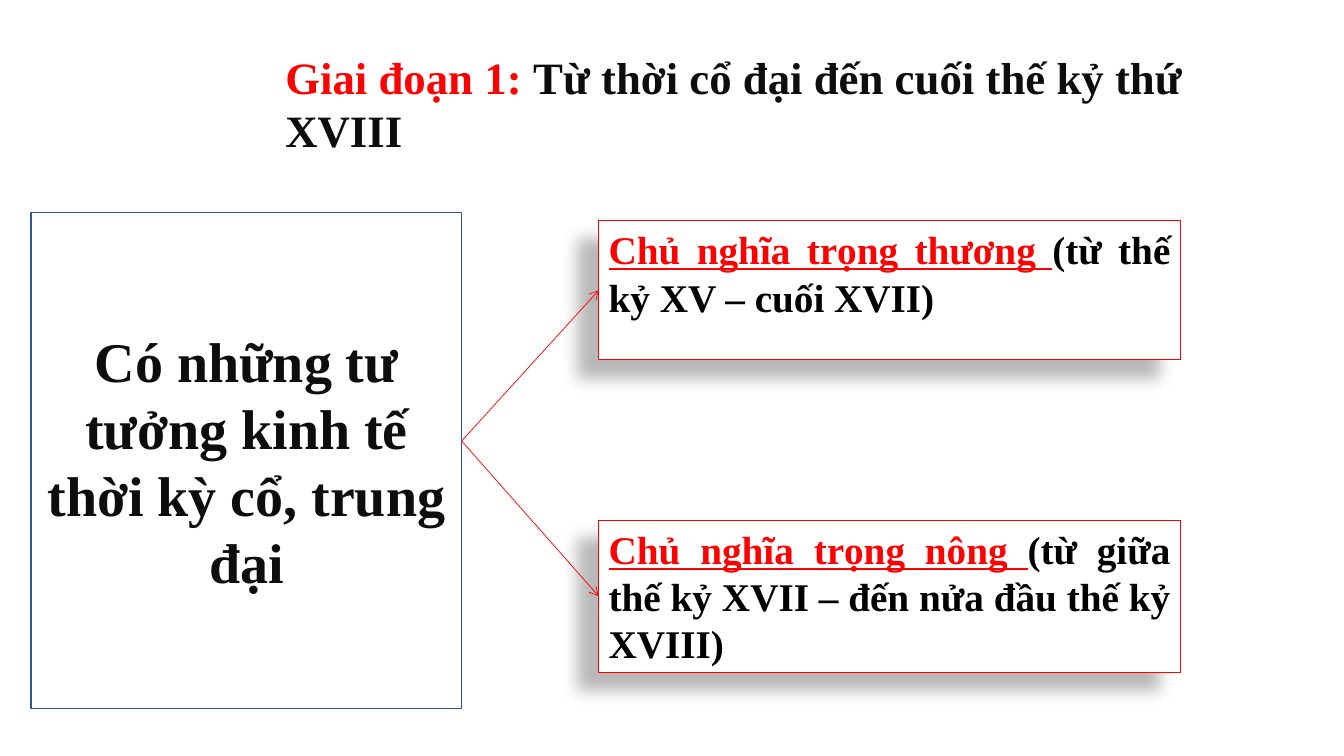
"""Build a slide on the first stage of economic thought and its two schools."""
from dataclasses import dataclass

from lxml import etree
from pptx import Presentation
from pptx import util as u
from pptx.dml.color import RGBColor
from pptx.enum import shapes, text
from pptx.oxml import ns

RED = RGBColor(0xFF, 0x00, 0x00)
BLACK = RGBColor(0x00, 0x00, 0x00)
INK = RGBColor(0x0D, 0x0D, 0x0D)
NAVY = RGBColor(0x32, 0x54, 0x91)
WHITE = RGBColor(0xFF, 0xFF, 0xFF)
FONT = "Times New Roman"
SCHOOL_LEFT, SCHOOL_WIDTH = 427.68, 415.44
FORK_X, FORK_Y = 329.76, 315


@dataclass(frozen=True)
class Span:
    words: str
    color: RGBColor
    underline: bool = False


@dataclass(frozen=True)
class School:
    name: str
    period: str
    top: float
    height: float


SCHOOLS = (
    School("Chủ nghĩa trọng thương ", "(từ thế kỷ XV – cuối XVII)", 157.68, 99.36),
    School("Chủ nghĩa trọng nông ",
           "(từ giữa thế kỷ XVII – đến nửa đầu thế kỷ XVIII)", 371.52, 108.72),
)


def write(box, spans: tuple[Span, ...], size: float, align, anchor) -> None:
    frame = box.text_frame
    frame.word_wrap = True
    frame.auto_size = text.MSO_AUTO_SIZE.NONE
    frame.vertical_anchor = anchor
    para = frame.paragraphs[0]
    para.alignment = align
    para.line_spacing = 1.0
    para.space_before = u.Pt(0)
    para.font.name, para.font.size, para.font.bold = FONT, u.Pt(size), True
    for span in spans:
        run = para.add_run()
        run.text = span.words
        run.font.color.rgb = span.color
        if span.underline:
            run.font.underline = True


def add_box(page, left: float, top: float, width: float, height: float,
            color: RGBColor, weight: float):
    box = page.shapes.add_shape(shapes.MSO_SHAPE.RECTANGLE, u.Pt(left), u.Pt(top),
                                u.Pt(width), u.Pt(height))
    box.shadow.inherit = False
    box.fill.solid()
    box.fill.fore_color.rgb = WHITE
    box.line.color.rgb = color
    box.line.width = u.Pt(weight)
    return box


def cast_shadow(box) -> None:
    effects = box._element.spPr.find(ns.qn("a:effectLst"))
    shadow = etree.SubElement(effects, ns.qn("a:outerShdw"), blurRad=str(u.Pt(11.8)),
                              dist=str(u.Pt(19.7)), dir=str(141 * 60000),
                              algn="ctr", rotWithShape="0")
    color = etree.SubElement(shadow, ns.qn("a:srgbClr"), val=str(BLACK))
    etree.SubElement(color, ns.qn("a:alpha"), val="28000")


def add_arrow(page, box) -> None:
    arrow = page.shapes.add_connector(shapes.MSO_CONNECTOR.STRAIGHT, u.Pt(FORK_X),
                                      u.Pt(FORK_Y), box.left, box.top)
    arrow.end_connect(box, 1)
    arrow.line.color.rgb = RED
    arrow.line.width = u.Pt(0.5)
    etree.SubElement(arrow.line._get_or_add_ln(), ns.qn("a:tailEnd"), type="arrow")
    etree.SubElement(arrow._element.spPr, ns.qn("a:effectLst"))


def add_school(page, school: School) -> None:
    box = add_box(page, SCHOOL_LEFT, school.top, SCHOOL_WIDTH, school.height, RED, 0.75)
    cast_shadow(box)
    write(box, (Span(school.name, RED, True), Span(school.period, BLACK)), 28,
          text.PP_ALIGN.JUSTIFY, text.MSO_ANCHOR.TOP)
    add_arrow(page, box)


def main() -> None:
    deck = Presentation()
    deck.slide_width, deck.slide_height = u.Pt(960), u.Pt(540)
    page = deck.slides.add_slide(deck.slide_layouts[5])

    title = page.shapes.title
    title.left, title.top = u.Pt(196.56), u.Pt(31.68)
    title.width, title.height = u.Pt(735.84), u.Pt(123.84)
    write(title, (Span("Giai đoạn 1: ", RED),
                  Span("Từ thời cổ đại đến cuối thế kỷ thứ XVIII", INK)), 32,
          text.PP_ALIGN.LEFT, text.MSO_ANCHOR.TOP)

    for school in SCHOOLS:
        add_school(page, school)

    origins = add_box(page, 22.32, 151.92, 307.44, 354.24, NAVY, 1)
    write(origins, (Span("Có những tư tưởng kinh tế thời kỳ cổ, trung đại", INK),), 40,
          text.PP_ALIGN.CENTER, text.MSO_ANCHOR.MIDDLE)

    deck.save("out.pptx")


if __name__ == "__main__":
    main()
